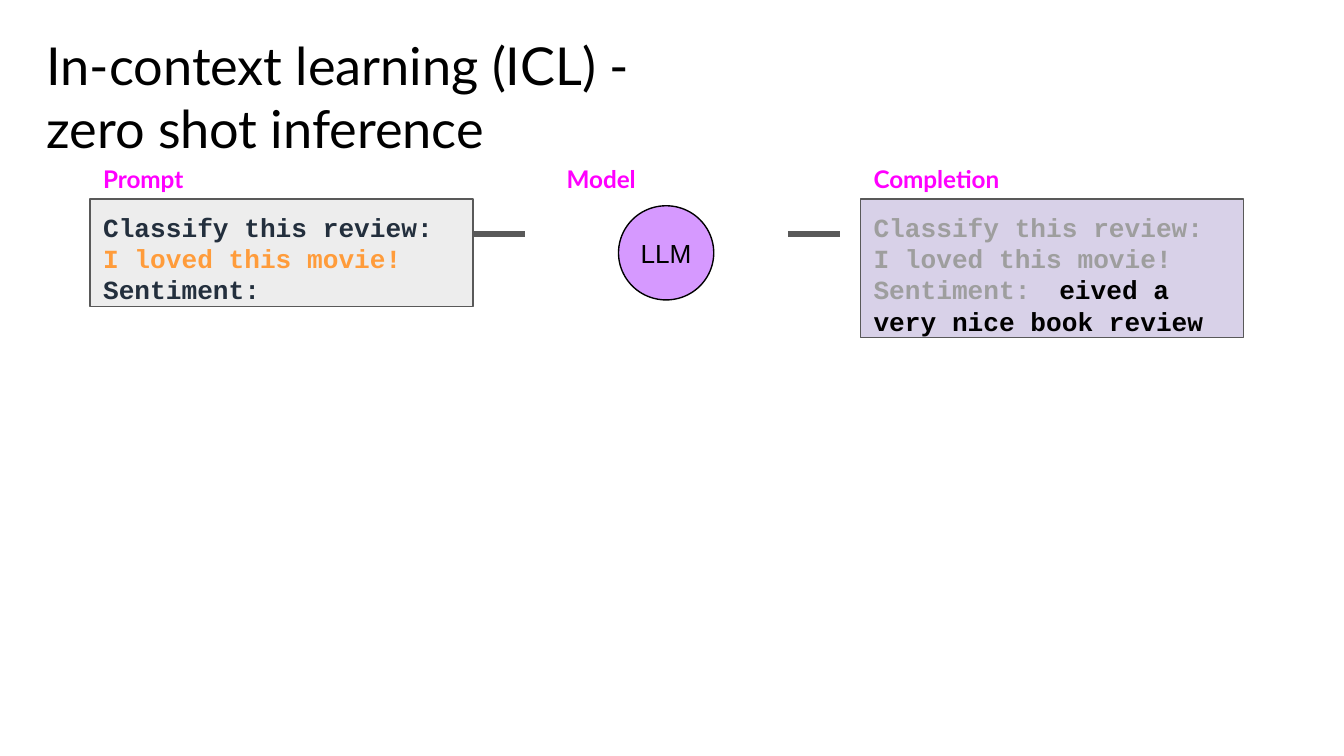
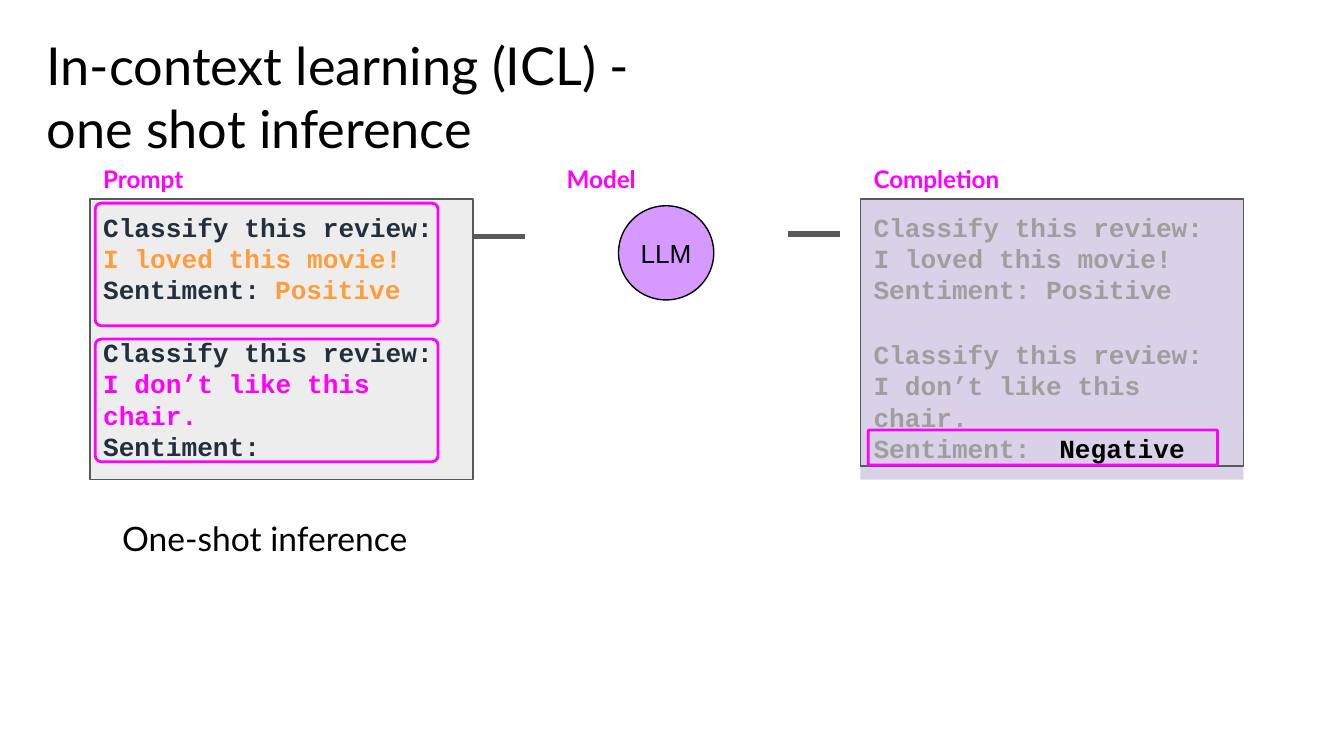
from pptx import Presentation
from pptx.dml.color import RGBColor
from pptx.enum.shapes import MSO_CONNECTOR, MSO_SHAPE
from pptx.enum.text import MSO_ANCHOR, MSO_AUTO_SIZE, PP_ALIGN
from pptx.oxml.ns import qn
from pptx.util import Cm, Pt
from lxml import etree

RECTANGLE = MSO_SHAPE.RECTANGLE
ROUNDED = MSO_SHAPE.ROUNDED_RECTANGLE
OVAL = MSO_SHAPE.OVAL
STRAIGHT = MSO_CONNECTOR.STRAIGHT
LEFT, CENTER = PP_ALIGN.LEFT, PP_ALIGN.CENTER
TOP, MIDDLE = MSO_ANCHOR.TOP, MSO_ANCHOR.MIDDLE
NO_AUTOFIT = MSO_AUTO_SIZE.NONE

BLACK = RGBColor(0x00, 0x00, 0x00)
NAVY = RGBColor(0x23, 0x2F, 0x3D)
ORANGE = RGBColor(0xFF, 0x9C, 0x3B)
MAGENTA = RGBColor(0xFF, 0x00, 0xFF)
FADED = RGBColor(0x9E, 0x9E, 0x9E)
OUTLINE = RGBColor(0x59, 0x59, 0x59)
PROMPT_FILL = RGBColor(0xED, 0xED, 0xED)
MODEL_FILL = RGBColor(0xD6, 0x99, 0xFF)
COMPLETION_FILL = RGBColor(0xD8, 0xD1, 0xE8)

SANS, MONO, MODEL_FONT = "Lato", "Courier New", "Arial"
PANEL_TOP, PANEL_WIDTH = 3.76, 7.24
PROMPT_LEFT, COMPLETION_LEFT = 1.7, 16.26
LABEL_TOP = 3.08
FLOW_LENGTH = 0.99
BLANK_LINE = 17.7


def cm_box(box):
    return [Cm(length) for length in box]


def style_font(font, name, size, color, bold=False):
    font.name, font.size, font.bold = name, Pt(size), bold
    font.color.rgb = color


def prepare_frame(frame, margins=(0, 0, 0, 0), anchor=TOP):
    frame.word_wrap = True
    frame.auto_size = NO_AUTOFIT
    frame.vertical_anchor = anchor
    frame.margin_left, frame.margin_top, frame.margin_right, frame.margin_bottom = cm_box(margins)


def add_tab_stop(paragraph, position):
    tab_list = etree.SubElement(paragraph._p.get_or_add_pPr(), qn("a:tabLst"))
    etree.SubElement(tab_list, qn("a:tab"), pos=str(Cm(position)), algn="l")


def write_code(frame, paragraphs, tab=None):
    for index, (space_before, pieces) in enumerate(paragraphs):
        paragraph = frame.add_paragraph() if index else frame.paragraphs[0]
        paragraph.alignment = LEFT
        if space_before:
            paragraph.space_before = Pt(space_before)
        if tab and any("\t" in text for text, _ in pieces):
            add_tab_stop(paragraph, tab)
        for text, color in pieces:
            run = paragraph.add_run()
            run.text = text
            style_font(run.font, MONO, 14, color, bold=True)


def add_outline(slide, kind, box, fill=None, line=None, width=0.75):
    shape = slide.shapes.add_shape(kind, *cm_box(box))
    shape.shadow.inherit = False
    if fill is None:
        shape.fill.background()
    else:
        shape.fill.solid()
        shape.fill.fore_color.rgb = fill
    if line is None:
        shape.line.fill.background()
    else:
        shape.line.color.rgb = line
        shape.line.width = Pt(width)
    return shape


def add_title(slide, text):
    title = slide.shapes.title
    title.left, title.top, title.width, title.height = cm_box((0.45, 0.6, 11.84, 2.44))
    frame = title.text_frame
    frame.text = text
    prepare_frame(frame, (0.43, 0.03, 0, 0))
    paragraph = frame.paragraphs[0]
    paragraph.alignment = LEFT
    style_font(paragraph.runs[0].font, SANS, 28, BLACK)


def add_label(slide, text, box, size=13, color=MAGENTA, bold=True):
    frame = slide.shapes.add_textbox(*cm_box(box)).text_frame
    prepare_frame(frame, (0.03, 0.03, 0, 0))
    frame.text = text
    style_font(frame.paragraphs[0].runs[0].font, SANS, size, color, bold)


def add_code_box(slide, paragraphs, box, tab=None):
    frame = slide.shapes.add_textbox(*cm_box(box)).text_frame
    prepare_frame(frame, (0, 0.03, 0, 0))
    write_code(frame, paragraphs, tab)


def add_code_panel(slide, paragraphs, box, fill=None):
    panel = add_outline(slide, RECTANGLE, box, fill, OUTLINE)
    prepare_frame(panel.text_frame, (0.25, 0.23, 0.64, 0), TOP)
    write_code(panel.text_frame, paragraphs, tab=3.51)


def add_highlight(slide, box, radius):
    frame = add_outline(slide, ROUNDED, box, line=MAGENTA, width=1.5)
    frame.adjustments[0] = radius


def add_model(slide, box):
    model = add_outline(slide, OVAL, box, MODEL_FILL, BLACK)
    frame = model.text_frame
    prepare_frame(frame, anchor=MIDDLE)
    frame.text = "LLM"
    frame.paragraphs[0].alignment = CENTER
    style_font(frame.paragraphs[0].runs[0].font, MODEL_FONT, 14, BLACK)


def add_flow_line(slide, left, top):
    line = slide.shapes.add_connector(STRAIGHT, *cm_box((left, top, left + FLOW_LENGTH, top)))
    line.line.color.rgb = OUTLINE
    line.line.width = Pt(3)
    etree.SubElement(line._element.spPr, qn("a:effectLst"))


def add_pipeline_slide(presentation, title, prompt_line_top):
    slide = presentation.slides.add_slide(presentation.slide_layouts[5])
    add_title(slide, title)
    for text, left, width in (("Prompt", PROMPT_LEFT + 0.22, 1.8),
                              ("Model", 10.68, 1.6),
                              ("Completion", COMPLETION_LEFT + 0.22, 2.7)):
        add_label(slide, text, (left, LABEL_TOP, width, 0.58))
    add_model(slide, (11.69, 3.89, 1.8, 1.78))
    add_flow_line(slide, PROMPT_LEFT + PANEL_WIDTH, prompt_line_top)
    add_flow_line(slide, 14.89, 4.42)
    return slide


def add_zero_shot_slide(presentation):
    slide = add_pipeline_slide(presentation, "In-context learning (ICL) - zero shot inference", 4.42)
    add_code_panel(slide, [
        (0, [("Classify this review: ", NAVY), ("I loved this movie!", ORANGE)]),
        (0, [("Sentiment:", NAVY)]),
    ], (PROMPT_LEFT, PANEL_TOP, PANEL_WIDTH, 2.03), PROMPT_FILL)
    add_code_panel(slide, [
        (0, [("Classify this review: I loved this movie!", FADED)]),
        (0, [("Sentiment:\t", FADED), ("eived a very nice book review", BLACK)]),
    ], (COMPLETION_LEFT, PANEL_TOP, PANEL_WIDTH, 2.62), COMPLETION_FILL)


def add_one_shot_prompt(slide, left, top):
    add_outline(slide, RECTANGLE, (left, top, PANEL_WIDTH, 5.31), PROMPT_FILL, OUTLINE)
    add_code_box(slide, [
        (0, [("Classify this review: ", NAVY), ("I loved this movie!", ORANGE)]),
        (0, [("Sentiment:\t", NAVY), ("Positive", ORANGE)]),
    ], (left + 0.25, top + 0.2, 6.27, 1.8), tab=3.25)
    add_code_box(slide, [
        (0, [("Classify this review: ", NAVY), ("I don’t like this chair.", MAGENTA)]),
        (0, [("Sentiment:", NAVY)]),
    ], (left + 0.25, top + 2.57, 6.27, 2.41))
    for offset in (0.08, 2.65):
        add_highlight(slide, (left + 0.1, top + offset, 6.48, 2.32), 0.05)


def add_one_shot_completion(slide, left, top):
    add_outline(slide, RECTANGLE, (left, top, PANEL_WIDTH, 5.31), COMPLETION_FILL)
    add_code_panel(slide, [
        (0, [("Classify this review: I loved this movie!", FADED)]),
        (0, [("Sentiment: Positive", FADED)]),
        (BLANK_LINE, [("Classify this review: I don’t like this chair.", FADED)]),
        (0, [("Sentiment:\t", FADED), ("Negative", BLACK)]),
    ], (left, top, PANEL_WIDTH, 5.05))
    add_highlight(slide, (left + 0.15, top + 4.37, 6.6, 0.66), 0.03)


def add_one_shot_slide(presentation):
    slide = add_pipeline_slide(presentation, "In-context learning (ICL) - one shot inference", 4.47)
    add_one_shot_prompt(slide, PROMPT_LEFT, PANEL_TOP)
    add_one_shot_completion(slide, COMPLETION_LEFT, PANEL_TOP)
    add_label(slide, "One-shot inference", (2.28, 9.76, 5.8, 0.79), 18, BLACK, False)


def main():
    presentation = Presentation()
    presentation.slide_width = Cm(25.4)
    presentation.slide_height = Cm(14.29)
    add_zero_shot_slide(presentation)
    add_one_shot_slide(presentation)
    presentation.save("out.pptx")


if __name__ == "__main__":
    main()
